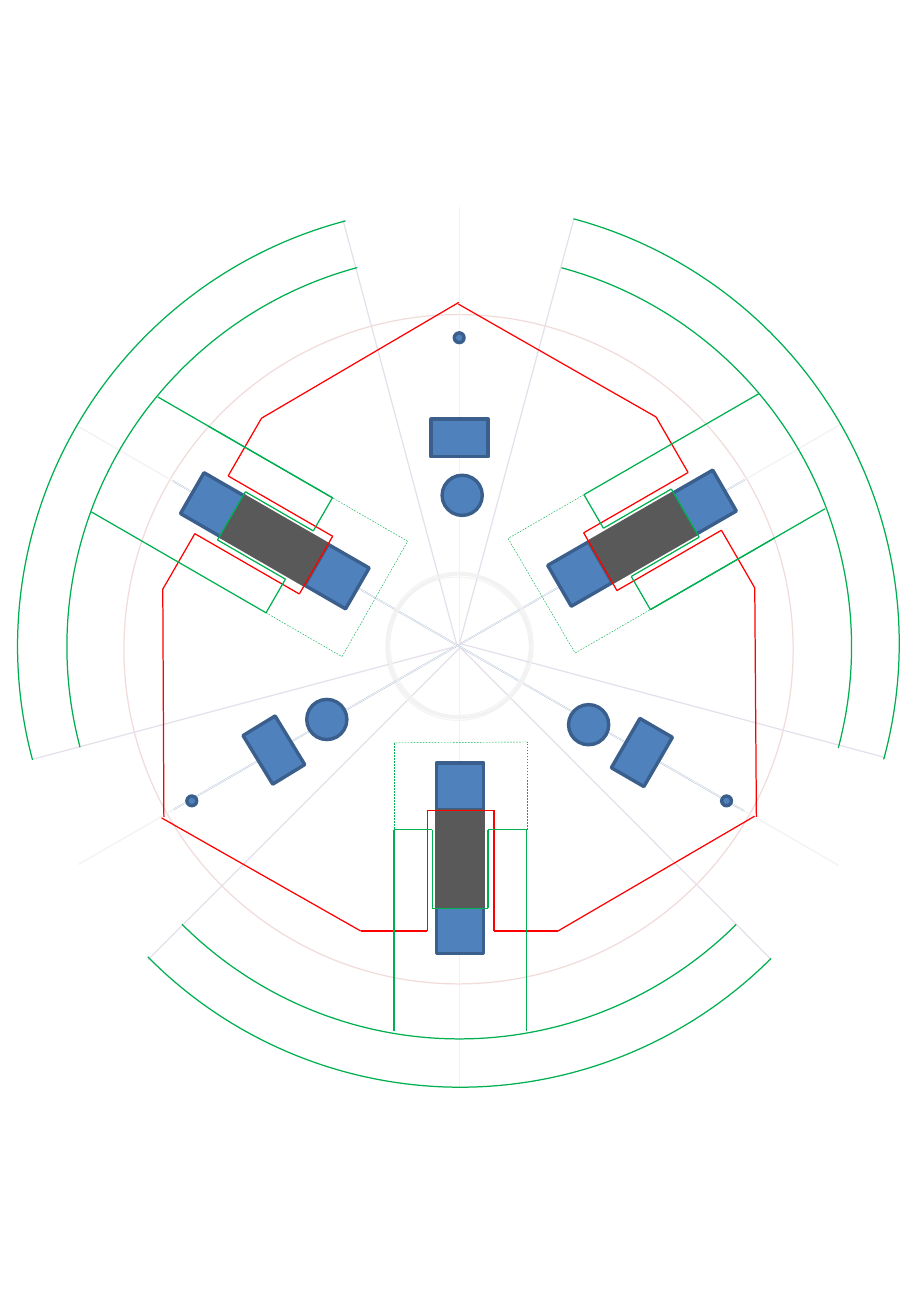
from math import cos, radians, sin

from lxml.etree import SubElement
from pptx import Presentation
from pptx.dml.color import RGBColor
from pptx.enum.dml import MSO_LINE
from pptx.enum.shapes import MSO_CONNECTOR, MSO_SHAPE
from pptx.oxml.ns import qn
from pptx.util import Pt

GREEN = RGBColor(0x00, 0xB0, 0x50)
RED = RGBColor(0xFF, 0x00, 0x00)
BLUE = RGBColor(0x4F, 0x81, 0xBD)
DARK_BLUE = RGBColor(0x3A, 0x5F, 0x8C)
AXIS_BLUE = RGBColor(0x4B, 0x7E, 0xBC)
GREY = RGBColor(0x59, 0x59, 0x59)
PALE_GREY = RGBColor(0xF2, 0xF2, 0xF2)
PINK = RGBColor(0xF2, 0xDC, 0xDB)
LAVENDER = RGBColor(0xE6, 0xE0, 0xEC)

HUB = (272.2, 383.2)

# Angle, pivot and the centres of the two hub rings of each sector
SECTORS = [
    (0, (272.8, 383.8), [(271.4, 384.5), (271.4, 383.2)]),
    (120, (271, 383), [(271.4, 381.6), (272.2, 382.4)]),
    (240, (272.4, 381.4), [(273.6, 382.4), (272.9, 383.2)]),
]

# Points of the lower sector, relative to its pivot
GUIDES = [
    ([(-0.5, -196), (-0.5, 195)], AXIS_BLUE, 0.75, None),
    ([(-0.5, -261), (-0.5, 261)], PALE_GREY, 0.75, None),
    ([(184, 184.5), (0, 0), (-185, 185)], LAVENDER, 0.75, None),
]
OUTLINES = [
    ([(174.5, 100), (58, 168), (20, 168), (20, 96.5), (-19.5, 96.5),
      (-19.5, 168), (-59, 168), (-177, 101)], RED, 0.75, None),
    ([(39.5, 227.5), (39.5, 108), (16.5, 108), (16.5, 154.5), (-16.5, 154.5),
      (-16.5, 108), (-39.2, 108), (-39.2, 227.5)], GREEN, 0.75, None),
    ([(-39.2, 108), (-39.2, 193)], GREEN, 0.75, None),
    ([(39.5, 108), (39.5, 56), (-39.2, 56.5), (-39.2, 108)],
     GREEN, 0.25, MSO_LINE.DASH),
]
PILLARS = [(167.4, 28, BLUE, DARK_BLUE), (82.4, 28, BLUE, DARK_BLUE),
           (125.2, 56.8, GREY, GREY)]
ARCS = [(521.2, 27.004, 81.173), (465.2, 27.072, 80.967)]
CABINETS = [((162.4, 444.6), 328.6), ((380.5, 446), 210.1),
            ((272.5, 259.6), 270)]

deck = Presentation()
deck.slide_width, deck.slide_height = Pt(540), Pt(780)
page = deck.slides.add_slide(deck.slide_layouts[6])


def turn(point, angle, pivot):
    """Turn a point given relative to the pivot and return its page position."""
    x, y = point
    c, s = cos(radians(angle)), sin(radians(angle))
    return pivot[0] + x * c - y * s, pivot[1] + x * s + y * c


def add_centred(kind, centre, width, height, line, weight, fill=None, angle=0):
    shape = page.shapes.add_shape(
        kind, Pt(centre[0] - width / 2), Pt(centre[1] - height / 2),
        Pt(width), Pt(height))
    shape.rotation = angle
    shape.shadow.inherit = False
    shape.line.color.rgb = line
    shape.line.width = Pt(weight)
    if fill is None:
        shape.fill.background()
    else:
        shape.fill.solid()
        shape.fill.fore_color.rgb = fill
    return shape


add_centred(MSO_SHAPE.OVAL, (271.8, 384.8), 396.7, 396.7, PINK, 0.75)

for layer in (GUIDES, OUTLINES):
    for angle, pivot, rings in SECTORS:
        for points, color, weight, dash in layer:
            corners = [turn(point, angle, pivot) for point in points]
            for start, end in zip(corners, corners[1:]):
                edge = page.shapes.add_connector(
                    MSO_CONNECTOR.STRAIGHT, Pt(start[0]), Pt(start[1]),
                    Pt(end[0]), Pt(end[1]))
                edge.line.color.rgb = color
                edge.line.width = Pt(weight)
                if dash:
                    edge.line.dash_style = dash
                SubElement(edge.element.spPr, qn("a:effectLst"))
        if layer is OUTLINES:
            continue
        for centre, weight in zip(rings, (0.5, 0.75)):
            add_centred(MSO_SHAPE.OVAL, centre, 85, 85, PALE_GREY, weight)
        for (size, first, last), centre in zip(ARCS, (pivot, HUB)):
            arc = add_centred(MSO_SHAPE.ARC, centre, size, size, GREEN, 0.75,
                              angle=angle)
            arc.adjustments[0], arc.adjustments[1] = first, last
        for distance, height, fill, line in PILLARS:
            add_centred(MSO_SHAPE.RECTANGLE, turn((0, distance), angle, pivot),
                        28, height, line, 2, fill, angle)

for angle, pivot, rings in SECTORS:
    for point, size in (((0, -183), 5.8), ((1.8, -89.6), 23.8)):
        add_centred(MSO_SHAPE.OVAL, turn(point, angle, HUB), size, size,
                    DARK_BLUE, 2, BLUE, angle)

for centre, angle in CABINETS:
    add_centred(MSO_SHAPE.RECTANGLE, centre, 22.3, 33.8, DARK_BLUE, 2, BLUE, angle)

deck.save("out.pptx")
